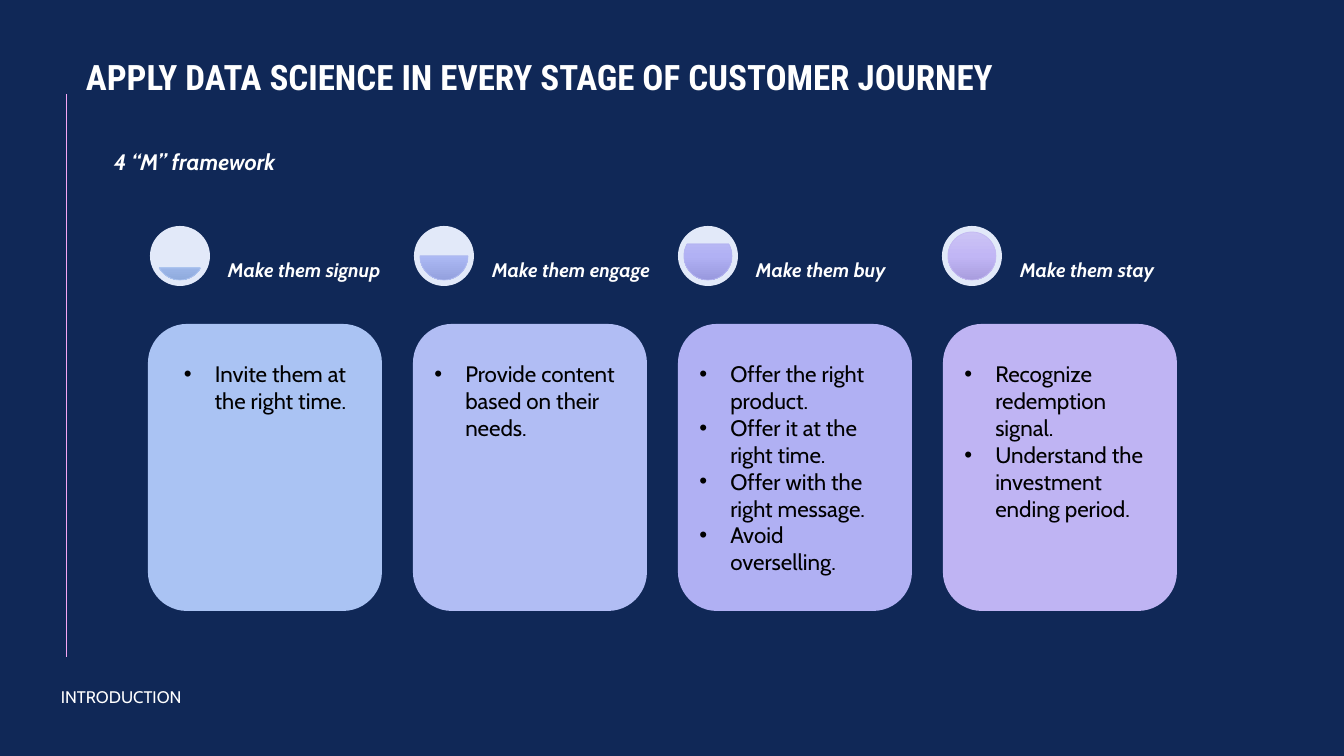
from copy import deepcopy
from lxml.etree import SubElement as Sub
from pptx import Presentation
from pptx.dml.color import RGBColor as RGB
from pptx.enum.shapes import MSO_CONNECTOR as Conn, MSO_SHAPE as Kind
from pptx.enum.text import MSO_ANCHOR as Anchor, PP_ALIGN as Align
from pptx.oxml.ns import qn
from pptx.util import Pt

NAVY = RGB(0x10, 0x28, 0x57)
WHITE = RGB(0xFF, 0xFF, 0xFF)
BLACK = RGB(0, 0, 0)
PINK = RGB(0xF6, 0xA6, 0xF4)
PALE = RGB(0xE2, 0xE9, 0xF9)

BODY = dict(name="Cabin", size=Pt(16))
LABEL = dict(name="Cabin", size=Pt(14), bold=True, italic=True)
TITLE = dict(name="Roboto Condensed", size=Pt(25), bold=True)
LEAD = dict(BODY, bold=True, italic=True)
FOOT = dict(name="Cabin", size=Pt(12))

# Label, chord angles, card colour, chord edge, gradient, alignment, points
STAGES = [
    ("Make them signup", (18, 90), RGB(0xAA, 0xC3, 0xF3), RGB(0xAB, 0xC3, 0xF0),
     (RGB(0xB7, 0xCC, 0xF3), RGB(0xA8, 0xC2, 0xF3), RGB(0x90, 0xAB, 0xDD)),
     Align.CENTER, ["Invite them at the right time."]),
    ("Make them engage", (0, 108), RGB(0xB1, 0xBD, 0xF4), RGB(0xB0, 0xBB, 0xF1),
     (RGB(0xBB, 0xC5, 0xF4), RGB(0xAC, 0xB9, 0xF4), RGB(0x94, 0xA1, 0xDE)),
     Align.LEFT, ["Provide content based on their needs."]),
    ("Make them buy", (198, 126), RGB(0xB0, 0xB0, 0xF3), RGB(0xB4, 0xB4, 0xF1),
     (RGB(0xC0, 0xC0, 0xF4), RGB(0xB1, 0xB1, 0xF4), RGB(0x99, 0x99, 0xDE)),
     Align.LEFT, ["Offer the right product.", "Offer it at the right time.",
                  "Offer with the right message.", "Avoid overselling."]),
    ("Make them stay", (162, 162), RGB(0xBF, 0xB4, 0xF3), RGB(0xC3, 0xB9, 0xF2),
     (RGB(0xCC, 0xC4, 0xF5), RGB(0xC1, 0xB6, 0xF5), RGB(0xA9, 0x9D, 0xDE)),
     Align.LEFT, ["Recognize redemption signal.",
                  "Understand the investment ending period."]),
]


def px(num):
    return round(num * 914400 / 100.8)


def put(item, style):
    for key, val in style.items():
        setattr(item, key, val)


class Deck:
    def __init__(self):
        self.file = Presentation()
        put(self.file, dict(slide_width=px(1344), slide_height=px(756)))
        self.page = self.file.slides.add_slide(self.file.slide_layouts[6])
        self.page.background.fill.solid()
        self.page.background.fill.fore_color.rgb = NAVY

    def rule(self, *ends):
        line = self.page.shapes.add_connector(Conn.STRAIGHT, *map(px, ends))
        line.line.color.rgb = PINK
        line.line.width = Pt(0.5)
        Sub(line._element.spPr, qn("a:effectLst"))

    def shape(self, kind, box, fill=None):
        item = self.page.shapes.add_shape(kind, *map(px, box))
        item.shadow.inherit = False
        item.line.fill.background()
        if fill is not None:
            item.fill.solid()
            item.fill.fore_color.rgb = fill
        return item

    def words(self, para, text, font, color):
        run = para.add_run()
        run.text = text
        put(run.font, font)
        run.font.color.rgb = color

    def text(self, box, text, font, frame=None, para=None):
        body = self.page.shapes.add_textbox(*map(px, box)).text_frame
        put(body, dict(word_wrap=True, **(frame or {})))
        put(body.paragraphs[0], para or {})
        self.words(body.paragraphs[0], text, font, WHITE)

    def gauge(self, left, top, arc, edge, blend):
        self.shape(Kind.OVAL, (left, top, 60, 60), PALE)
        level = self.shape(Kind.CHORD, (left + 6, top + 6, 48, 48))
        level.adjustments[0], level.adjustments[1] = arc
        level.line.color.rgb = edge
        level.line.width = Pt(0.5)
        level.fill.gradient()
        level.fill.gradient_angle = 270
        stops = level._element.spPr.find(".//" + qn("a:gsLst"))
        stops.append(deepcopy(stops[0]))
        for num, stop in enumerate(level.fill.gradient_stops):
            stop.position = num / 2
            stop.color.rgb = blend[num]

    def card(self, box, fill, points, align):
        body = self.shape(Kind.ROUNDED_RECTANGLE, box, fill).text_frame
        put(body, dict(word_wrap=True, vertical_anchor=Anchor.TOP,
                       margin_top=px(25)))
        for num, point in enumerate(points):
            para = body.add_paragraph() if num else body.paragraphs[0]
            para.alignment = align
            props = para._p.get_or_add_pPr()
            props.set("marL", str(px(31)))
            props.set("indent", str(-px(31)))
            Sub(props, qn("a:buFont")).set("typeface", "Arial")
            Sub(props, qn("a:buChar")).set("char", "•")
            self.words(para, point, BODY, BLACK)


def main():
    deck = Deck()
    deck.rule(66, 94, 66, 657)

    # Gauges, labels and cards
    tight = {"margin_" + side: px(4) for side in ("left", "top", "right", "bottom")}
    tight["vertical_anchor"] = Anchor.BOTTOM
    for num, (name, arc, fill, edge, blend, align, points) in enumerate(STAGES):
        left = 150 + 264 * num
        deck.gauge(left, 226, arc, edge, blend)
        deck.text((left + 74, 226, 178, 60), name, LABEL, tight,
                  dict(line_spacing=0.9))
        deck.card((148 + 265 * num, 324, 234, 287), fill, points, align)

    # Headings and footer
    deck.text((76, 51, 1192, 52),
              "APPLY DATA SCIENCE IN EVERY STAGE OF CUSTOMER JOURNEY", TITLE)
    deck.text((104, 143, 327, 37), "4 “M” framework", LEAD)
    deck.text((51, 682, 257, 30), "INTRODUCTION", FOOT,
              dict(vertical_anchor=Anchor.MIDDLE))

    deck.file.save("out.pptx")


if __name__ == "__main__":
    main()
